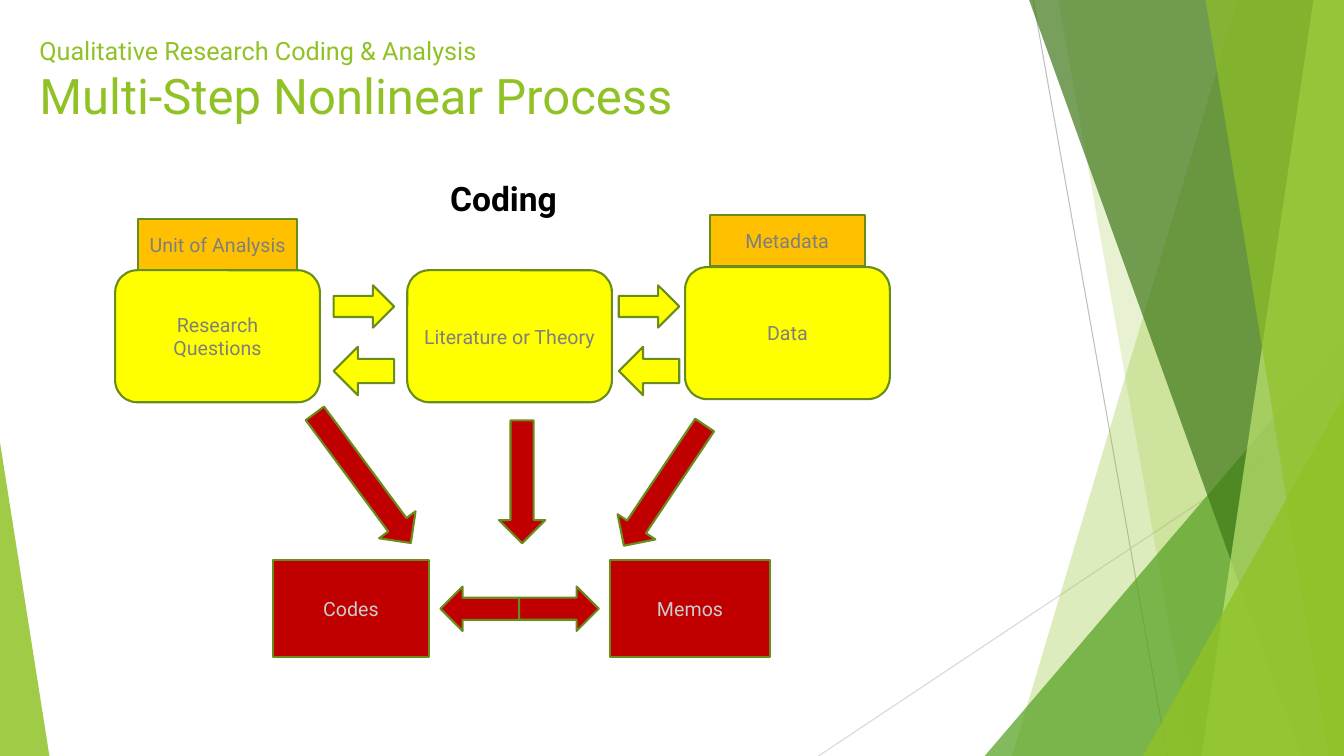
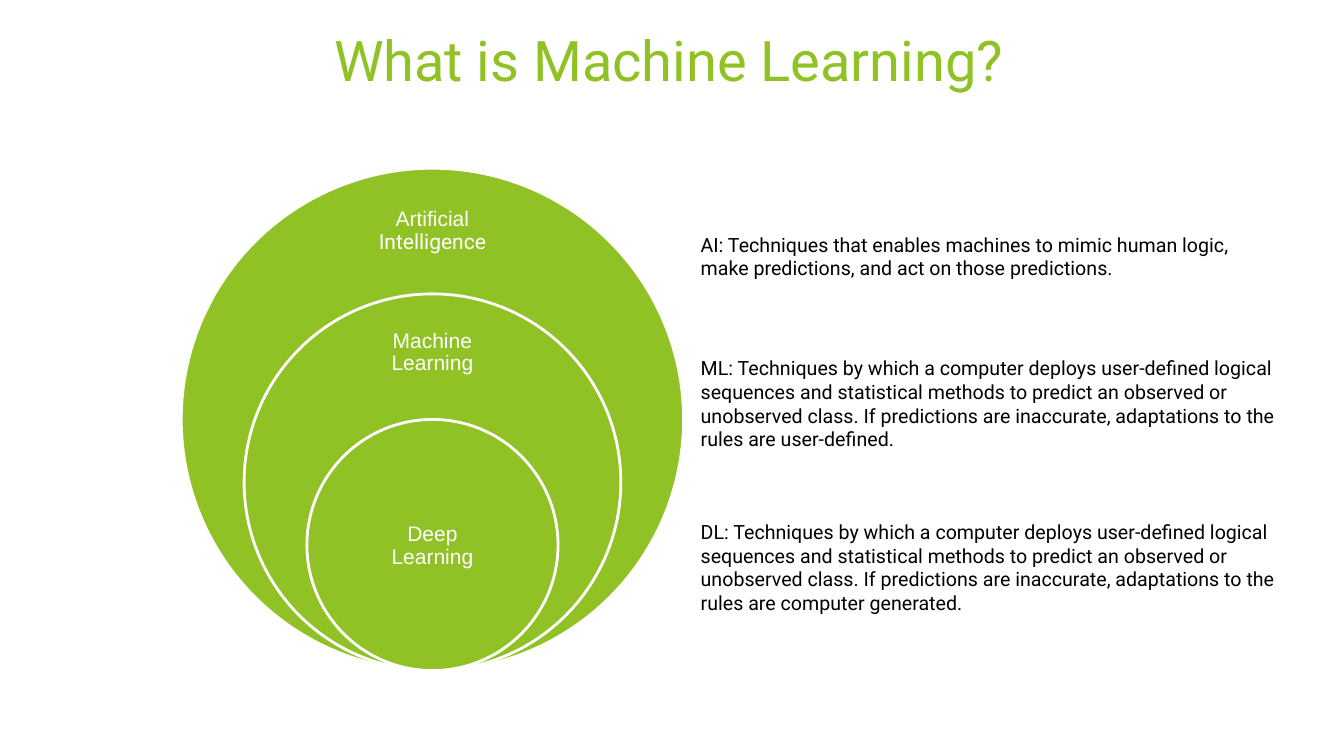
from pptx import Presentation
from pptx.dml.color import RGBColor as RGB
from pptx.enum.shapes import MSO_CONNECTOR as Conn, MSO_SHAPE as Kind
from pptx.enum.text import MSO_ANCHOR as Anchor, PP_ALIGN as Align
from pptx.oxml.ns import qn
from pptx.util import Pt
from lxml.etree import SubElement as Sub

WIDE, HIGH = 960, 540
LIME, OLIVE, WHITE, BLACK = "90C226", "698D1B", "FFFFFF", "000000"
YELLOW, AMBER, RED, GREY, PALE = "FFFF00", "FFC000", "C00000", "7F7F7F", "CCCCCC"
MID = {"align": Align.CENTER, "anchor": Anchor.MIDDLE}
TITLE = {"color": LIME, "size": 40}
BODY = {"color": BLACK, "size": 14}
RING = {**MID, "color": WHITE, "size": 15, "font": "Arial", "pad": (8.64, 8.64), "lead": 0.9}

RAYS = [((738, 0), (833.8, HIGH), "BFBFBF"), ((WIDE, 290.2), (584.6, HIGH), "D8D8D8")]
FACETS = [
    ("band", (884.2, 722.9), LIME, 30),
    ("band", (756, 851.8), LIME, 20),
    ("tri", (703.4, 239.8, 256.6, 1), "54A021", 72),
    ("band", (735.1, 929.5), "3F7818", 70),
    ("band", (938.2, 858.2), "BFE471", 70),
    ("band", (861.1, 949), LIME, 65),
    ("tri", (816.5, 283, 143.5, 1), LIME, 80),
    ("tri", (0, 316, 35.3, 0), LIME, 85),
]

HEADS = [("Qualitative Research Coding & Analysis", 18), ("Multi-Step Nonlinear Process", 35)]
STEPS = [
    ("Research Questions", 82.3, 193),
    ("Literature or Theory", 290.9, 193),
    ("Data", 489.4, 190.8),
]
TABS = [("Metadata", 506.9, 153.4, 110.9), ("Unit of Analysis", 98.6, 156.2, 113.8)]
ENDS = [("Codes", 195.3, 110.9), ("Memos", 436, 113.8)]
GAPS = [238.3, 442]
TURNS = [(203.8, 30.2, 0), (247.7, 34.6, 180)]
FLOWS = [
    (201.6, 325.4, 115.2, 32.4, 53.5),
    (329, 327.6, 87.8, 33.1, 90),
    (422.6, 330.5, 103.7, 32.4, 123.8),
    (314.6, 419, 56.2, 31.7, 180),
    (370.8, 419, 56.9, 31.7, 0),
]

RINGS = [
    ([("Artificial ", "Arial"), ("Intelligence", "Roboto")], 138.2, 54),
    ([("Machine Learning", "Arial")], 226.8, 50.4),
    ([("Deep\nLearning", "Arial")], 344.9, 90),
]
NOTES = [
    ("AI: Techniques that enables machines to mimic human logic, make predictions, "
     "and act on those predictions.", 162.7, 415.4, 41),
    ("ML: Techniques by which a computer deploys user-defined logical sequences and "
     "statistical methods to predict an observed or unobserved class. If predictions "
     "are inaccurate, adaptations to the rules are user-defined.", 251, 440.6, 74.9),
    ("DL: Techniques by which a computer deploys user-defined logical sequences and "
     "statistical methods to predict an observed or unobserved class. If predictions "
     "are inaccurate, adaptations to the rules are computer generated.", 367.9, 440.6, 92.2),
]


def tint(code):
    return RGB.from_string(code)


def paint(shape, fill, line=None, width=1.5, alpha=None):
    shape.shadow.inherit = False
    shape.fill.solid()
    shape.fill.fore_color.rgb = tint(fill)
    if alpha:
        node = shape.fill._xPr.find(qn("a:solidFill"))[0]
        Sub(node, qn("a:alpha"), val=str(alpha * 1000))
    if line:
        shape.line.color.rgb = tint(line)
        shape.line.width = Pt(width)
    else:
        shape.line.fill.background()
    return shape


def write(shape, paras, color, size, font="Roboto", bold=False, align=Align.LEFT,
          anchor=Anchor.TOP, pad=(7.2, 3.6), lead=None):
    frame = shape.text_frame
    side, edge = (Pt(v) for v in pad)
    form = {"word_wrap": True, "vertical_anchor": anchor, "margin_left": side,
            "margin_right": side, "margin_top": edge, "margin_bottom": edge}
    for key, val in form.items():
        setattr(frame, key, val)
    for at, runs in enumerate(paras):
        para = frame.add_paragraph() if at else frame.paragraphs[0]
        para.alignment = align
        para.line_spacing = lead
        for text, *own in runs:
            look = {"name": font, "size": Pt(size), "bold": bold}
            look.update(own[0] if own else {})
            for row, line in enumerate(text.splitlines()):
                if row:
                    para.add_line_break()
                part = para.add_run()
                part.text = line
                for key, val in look.items():
                    setattr(part.font, key, val)
                part.font.color.rgb = tint(color)


def put(slide, kind, box, fill, line=OLIVE, turn=0, **more):
    shape = slide.shapes.add_shape(kind, *map(Pt, box))
    shape.rotation = turn
    return paint(shape, fill, line, **more)


def label(slide, box, paras, **look):
    write(slide.shapes.add_textbox(*map(Pt, box)), paras, **look)


def decor(slide):
    for start, end, color in RAYS:
        ray = slide.shapes.add_connector(Conn.STRAIGHT, *map(Pt, start + end))
        ray.line.color.rgb = tint(color)
        ray.line.width = Pt(0.75)
        Sub(ray._element.spPr, qn("a:effectLst"))
    for kind, spot, color, alpha in FACETS:
        if kind == "band":
            top, low = spot
            pen = slide.shapes.build_freeform(Pt(top), 0)
            rest = [(WIDE, 0), (WIDE, HIGH), (low, HIGH)]
            pen.add_line_segments([(Pt(x), Pt(y)) for x, y in rest])
            paint(pen.convert_to_shape(), color, alpha=alpha)
        else:
            x, y, w, tip = spot
            box = (x, y, w, HIGH - y)
            tri = put(slide, Kind.ISOSCELES_TRIANGLE, box, color, None, alpha=alpha)
            tri.adjustments[0] = tip


def flow(slide):
    decor(slide)
    heads = [[(text, {"size": Pt(size)})] for text, size in HEADS]
    label(slide, (21, 21.6, 745.2, 110.2), heads, **TITLE)
    label(slide, (269.3, 123.5, 180.7, 42.5), [[("Coding",)]], color=BLACK,
          size=24, bold=True, align=Align.CENTER)
    cards = [(Kind.ROUNDED_RECTANGLE, t, (x, y, 146.2, 94.3), YELLOW, GREY) for t, x, y in STEPS]
    cards += [(Kind.RECTANGLE, t, (x, y, w, 36.7), AMBER, GREY) for t, x, y, w in TABS]
    cards += [(Kind.RECTANGLE, t, (x, 400.3, w, 69.1), RED, PALE) for t, x, w in ENDS]
    for kind, text, box, fill, ink in cards:
        write(put(slide, kind, box, fill), [[(text,)]], ink, 14, **MID)
    arrows = [((x, y, 43.2, h), YELLOW, turn) for x in GAPS for y, h, turn in TURNS]
    arrows += [(tuple(box), RED, turn) for *box, turn in FLOWS]
    for box, fill, turn in arrows:
        put(slide, Kind.RIGHT_ARROW, box, fill, turn=turn)


def nest(slide):
    label(slide, (30.5, 8.6, 894.2, 90.7), [[("What is Machine Learning?",)]],
          align=Align.CENTER, pad=(9.4, 9.4), **TITLE)
    mid, base, full = 308.9, 479, 358.8
    for at, (runs, y, h) in enumerate(RINGS):
        size = full * (1 - at / 4)
        put(slide, Kind.OVAL, (mid - size / 2, base - size, size, size), LIME, WHITE, width=2)
        words = [(text, {"name": font}) for text, font in runs]
        label(slide, (mid - 62.7, y, 125.4, h), [words], **RING)
    for text, y, w, h in NOTES:
        label(slide, (493.4, y, w, h), [[(text,)]], **BODY)


def main():
    """Build the two slides and save them."""
    deck = Presentation()
    deck.slide_width, deck.slide_height = Pt(WIDE), Pt(HIGH)
    for draw in (flow, nest):
        draw(deck.slides.add_slide(deck.slide_layouts[6]))
    deck.save("out.pptx")


if __name__ == "__main__":
    main()
